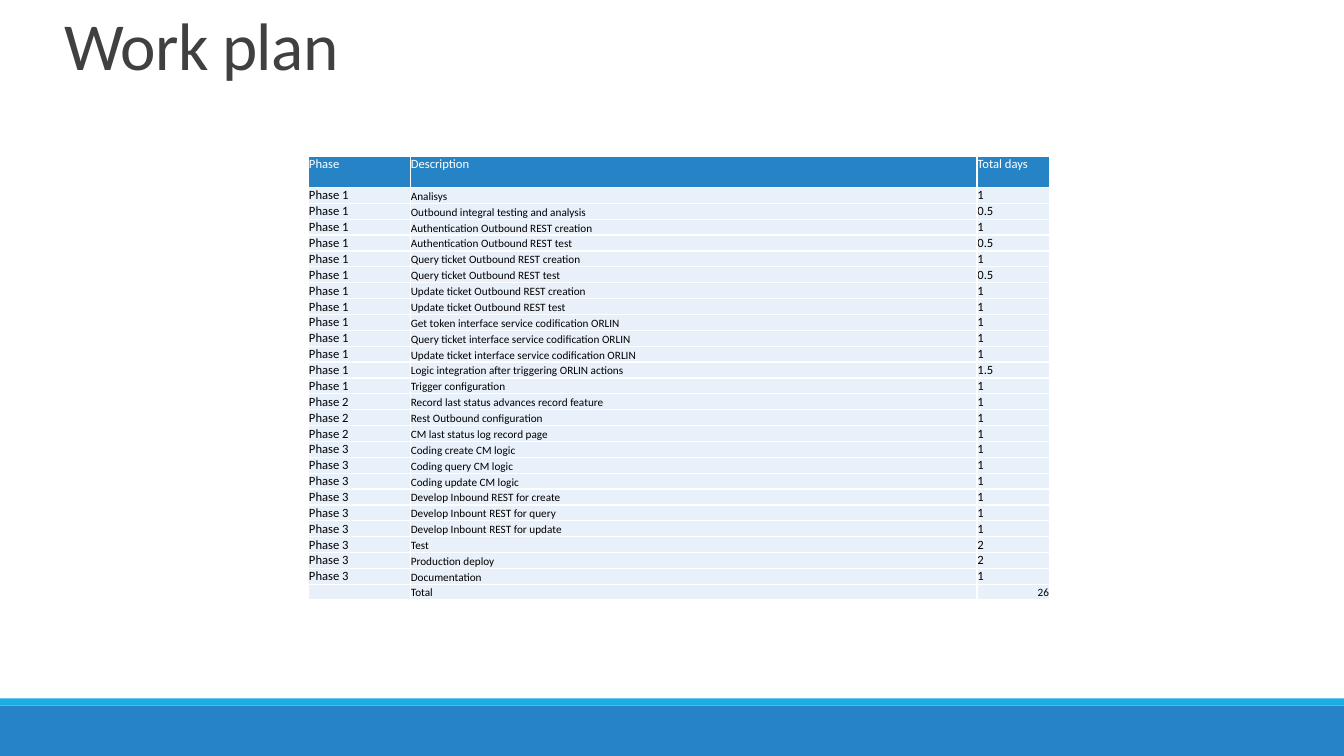
from lxml.etree import SubElement
from pptx import Presentation
from pptx.dml.color import RGBColor
from pptx.enum.shapes import MSO_SHAPE
from pptx.enum.text import MSO_ANCHOR, PP_ALIGN
from pptx.oxml.ns import qn
from pptx.util import Inches, Pt

TITLE = "Work plan"
HEADINGS = ("Phase", "Description", "Total days")
PLAN = {
    "Phase 1": [
        ("Analisys", "1"),
        ("Outbound integral testing and analysis", "0.5"),
        ("Authentication Outbound REST creation", "1"),
        ("Authentication Outbound REST test", "0.5"),
        ("Query ticket Outbound REST creation", "1"),
        ("Query ticket Outbound REST test", "0.5"),
        ("Update ticket Outbound REST creation", "1"),
        ("Update ticket Outbound REST test", "1"),
        ("Get token interface service codification ORLIN", "1"),
        ("Query ticket interface service codification ORLIN", "1"),
        ("Update ticket interface service codification ORLIN", "1"),
        ("Logic integration after triggering ORLIN actions", "1.5"),
        ("Trigger configuration", "1"),
    ],
    "Phase 2": [
        ("Record last status advances record feature", "1"),
        ("Rest Outbound configuration", "1"),
        ("CM last status log record page", "1"),
    ],
    "Phase 3": [
        ("Coding create CM logic", "1"),
        ("Coding query CM logic", "1"),
        ("Coding update CM logic", "1"),
        ("Develop Inbound REST for create", "1"),
        ("Develop Inbount REST for query", "1"),
        ("Develop Inbount REST for update", "1"),
        ("Test", "2"),
        ("Production deploy", "2"),
        ("Documentation", "1"),
    ],
}
TOTAL = ("", "Total", "26")

THEME = {
    "font": "Calibri",
    "blue": "2683C6", "cyan": "1CADE4", "pale": "E8F1FA",
    "white": "FFFFFF", "black": "000000", "title": "404040",
    "title_size": 48, "label_size": 9, "description_size": 8,
}
SLIDE_WIDTH, SLIDE_HEIGHT = 13.33, 7.5
FOOTER_BANDS = [(7, 0.5, "blue"), (6.93, 0.07, "cyan")]
TABLE_LEFT, TABLE_TOP, TABLE_HEIGHT = 3.06, 1.55, 4.4
COLUMN_WIDTHS = (1.01, 5.62, 0.72)
HEADING_HEIGHT, TOTAL_HEIGHT = 0.31, 0.15
CELL_INSET = Pt(0.36)


def color(key):
    return RGBColor.from_string(THEME[key])


def format_run(run, size_key, color_key):
    run.font.name = THEME["font"]
    run.font.size = Pt(THEME[size_key])
    run.font.color.rgb = color(color_key)


def add_footer_band(slide, top, height, fill_key):
    band = slide.shapes.add_shape(MSO_SHAPE.RECTANGLE, 0, Inches(top),
                                  Inches(SLIDE_WIDTH), Inches(height))
    band.shadow.inherit = False
    band.fill.solid()
    band.fill.fore_color.rgb = color(fill_key)
    band.line.fill.background()


def add_title(slide):
    title = slide.shapes.add_textbox(Inches(0.54), Inches(0.11), Inches(2.95), Inches(1.59))
    frame = title.text_frame
    frame.word_wrap = True
    frame.margin_right = 0
    frame.text = TITLE
    paragraph = frame.paragraphs[0]
    paragraph.line_spacing = 0.85
    run = paragraph.runs[0]
    format_run(run, "title_size", "title")
    run.font._element.set("spc", "-50")


def add_borders(cell):
    """Draw a 1 pt white line on all four sides; the lines must precede the fill."""
    properties = cell._tc.get_or_add_tcPr()
    for side in ("a:lnL", "a:lnR", "a:lnT", "a:lnB"):
        line = SubElement(properties, qn(side), w=str(Pt(1)))
        SubElement(SubElement(line, qn("a:solidFill")), qn("a:srgbClr"), val=THEME["white"])


def fill_cell(cell, text, size_key, text_key, fill_key, anchor, align):
    add_borders(cell)
    cell.fill.solid()
    cell.fill.fore_color.rgb = color(fill_key)
    cell.margin_left = cell.margin_right = cell.margin_top = CELL_INSET
    cell.margin_bottom = 0
    cell.vertical_anchor = anchor
    cell.text_frame.text = text
    paragraph = cell.text_frame.paragraphs[0]
    paragraph.alignment = align
    for run in paragraph.runs:
        format_run(run, size_key, text_key)
    if not text:
        SubElement(paragraph._p, qn("a:endParaRPr"), sz=str(THEME[size_key] * 100))


def add_plan_table(slide):
    tasks = [(phase, *task) for phase, phase_tasks in PLAN.items() for task in phase_tasks]
    rows = [HEADINGS, *tasks, TOTAL]
    task_height = (TABLE_HEIGHT - HEADING_HEIGHT - TOTAL_HEIGHT) / len(tasks)
    heights = [HEADING_HEIGHT, *[task_height] * len(tasks), TOTAL_HEIGHT]

    table = slide.shapes.add_table(
        len(rows), len(HEADINGS), Inches(TABLE_LEFT), Inches(TABLE_TOP),
        Inches(sum(COLUMN_WIDTHS)), Inches(TABLE_HEIGHT)).table
    table.horz_banding = False
    for column, width in zip(table.columns, COLUMN_WIDTHS):
        column.width = Inches(width)

    for r, (row, height) in enumerate(zip(rows, heights)):
        table.rows[r].height = Inches(height)
        is_heading, is_total = row is HEADINGS, row is TOTAL
        text_key, fill_key = ("white", "blue") if is_heading else ("black", "pale")
        for c, text in enumerate(row):
            small = is_total or (c == 1 and not is_heading)
            fill_cell(
                table.cell(r, c), text,
                "description_size" if small else "label_size", text_key, fill_key,
                MSO_ANCHOR.BOTTOM if small else MSO_ANCHOR.TOP,
                PP_ALIGN.RIGHT if is_total and c == 2 else PP_ALIGN.LEFT)


def main():
    presentation = Presentation()
    presentation.slide_width = Inches(SLIDE_WIDTH)
    presentation.slide_height = Inches(SLIDE_HEIGHT)
    slide = presentation.slides.add_slide(presentation.slide_layouts[6])
    for band in FOOTER_BANDS:
        add_footer_band(slide, *band)
    add_title(slide)
    add_plan_table(slide)
    presentation.save("out.pptx")


if __name__ == "__main__":
    main()
